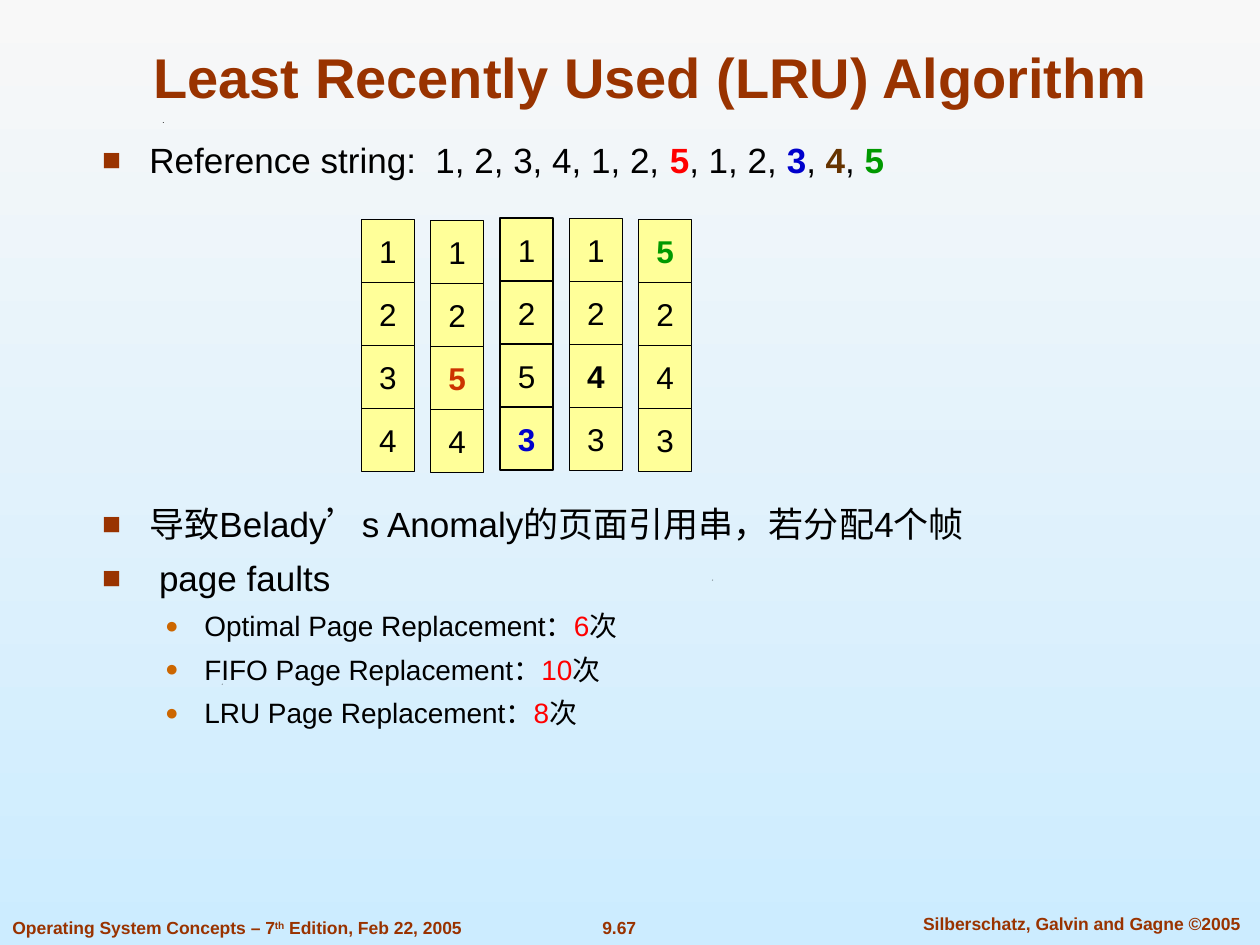
from lxml.etree import SubElement
from pptx import Presentation
from pptx.dml.color import RGBColor
from pptx.enum.shapes import MSO_SHAPE as Shape
from pptx.enum.text import MSO_ANCHOR as Anchor, MSO_AUTO_SIZE as Fit, PP_ALIGN as Align
from pptx.oxml.ns import qn
from pptx.util import Pt

RUST, BLACK, RED, BLUE, GREEN = "993300", "000000", "FF0000", "0000CC", "009900"

# Lines of the body: level, space before, runs of (text, colour, bold)
LINES = [
    (0, 0, [("Reference string:  1, 2, 3, 4, 1, 2, ", BLACK, False), ("5", RED, True),
            (", 1, 2, ", BLACK, False), ("3", BLUE, True), (", ", BLACK, False),
            ("4", "663300", True), (", ", BLACK, False), ("5", GREEN, True)]),
    (0, 184, [("导致Belady’s Anomaly的页面引用串，若分配4个帧", BLACK, False)]),
    (0, 7, [(" page faults", BLACK, False)]),
] + [
    (1, 5.6, [(name + " Page Replacement：", BLACK, False), (count, RED, False),
              ("次", BLACK, False)])
    for name, count in [("Optimal", "6"), ("FIFO", "10"), ("LRU", "8")]
]

# Bullet of each level: sign, colour, size in %, indent, hang, text size
LEVELS = [("■", RUST, 90, 27, 27, 20), ("●", "CC6600", 80, 58.5, 22.5, 16)]

# Frame columns: top offset, pages, marked row, its colour
FRAMES = [
    (0.7, "1234", None, BLACK),
    (1.4, "1254", 2, "CC3300"),
    (0, "1253", 3, BLUE),
    (0.4, "1243", 2, BLACK),
    (0.7, "5243", 0, GREEN),
]


def rgb(code):
    return RGBColor.from_string(code)


def style(run, size, color, bold=False):
    font = run.font
    font.name, font.size, font.bold = "Arial", Pt(size), bold
    font.color.rgb = rgb(color)


def place(shape, box):
    shape.left, shape.top, shape.width, shape.height = map(Pt, box)


def add_bullet(para, sign, color, size, indent, hang):
    props = para._p.get_or_add_pPr()
    props.set("marL", str(Pt(indent)))
    props.set("indent", str(-Pt(hang)))
    SubElement(SubElement(props, qn("a:buClr")), qn("a:srgbClr"), val=color)
    SubElement(props, qn("a:buSzPct"), val=str(size * 1000))
    SubElement(props, qn("a:buFont"), typeface="Arial")
    SubElement(props, qn("a:buChar"), char=sign)


def paint_back(slide):
    fill = slide.background.fill
    fill.gradient()
    fill.gradient_angle = 270
    for stop, color, pos in zip(fill.gradient_stops, ("F8F8F8", "CCECFF"), (0, 1)):
        stop.color.rgb = rgb(color)
        stop.position = pos


def add_specks(slide, spots):
    for left, top in spots:
        pen = slide.shapes.build_freeform(Pt(left), Pt(top + 0.5))
        pen.add_line_segments([(Pt(left + 0.5), Pt(top)), (Pt(left + 0.7), Pt(top + 0.3))])
        speck = pen.convert_to_shape()
        speck.shadow.inherit = False
        speck.fill.solid()
        speck.fill.fore_color.rgb = rgb(BLACK)
        speck.line.fill.background()


def add_title(slide, box):
    title = slide.shapes.title
    place(title, box)
    frame = title.text_frame
    frame.text = "Least Recently Used (LRU) Algorithm"
    frame.auto_size = Fit.NONE
    frame.vertical_anchor = Anchor.BOTTOM
    para = frame.paragraphs[0]
    para.alignment = Align.CENTER
    style(para.runs[0], 32, RUST, True)


def add_body(slide, box):
    body = slide.placeholders[1]
    place(body, box)
    frame = body.text_frame
    frame.auto_size = Fit.NONE
    frame.vertical_anchor = Anchor.TOP
    for i, (level, space, runs) in enumerate(LINES):
        para = frame.add_paragraph() if i else frame.paragraphs[0]
        *bullet, size = LEVELS[level]
        para.level = level
        add_bullet(para, *bullet)
        para.space_before = Pt(space)
        for text, color, bold in runs:
            run = para.add_run()
            run.text = text
            style(run, size, color, bold)


def add_cell(slide, box, text, color, bold):
    cell = slide.shapes.add_shape(Shape.RECTANGLE, *map(Pt, box))
    cell.shadow.inherit = False
    cell.fill.solid()
    cell.fill.fore_color.rgb = rgb("FFFF99")
    cell.line.color.rgb = rgb(BLACK)
    cell.line.width = Pt(0.75)
    frame = cell.text_frame
    frame.text = text
    frame.word_wrap = False
    frame.vertical_anchor = Anchor.MIDDLE
    para = frame.paragraphs[0]
    para.alignment = Align.CENTER
    style(para.runs[0], 18, color, bold)


def add_frames(slide, left, top, pitch, wide, high):
    for col, (drop, pages, mark, color) in enumerate(FRAMES):
        for row, page in enumerate(pages):
            hit = row == mark
            box = (left + col * pitch, top + drop + row * high, wide, high)
            add_cell(slide, box, page, color if hit else BLACK, hit)


def add_note(slide, box, parts, align, wrap=False):
    note = slide.shapes.add_textbox(*map(Pt, box))
    frame = note.text_frame
    frame.word_wrap = wrap
    para = frame.paragraphs[0]
    para.alignment = align
    for text, raised in parts:
        run = para.add_run()
        run.text = text
        style(run, 10, RUST, True)
        if raised:
            run._r.get_or_add_rPr().set("baseline", "30000")


def add_footer(slide, top):
    add_note(slide, (0, top, 272, 19.4),
             [("Operating System Concepts – 7", False), ("th", True),
              (" Edition, Feb 22, 2005", False)], Align.LEFT)
    add_note(slide, (336.2, top, 35.3, 19.4), [("9.67", False)], Align.CENTER)
    add_note(slide, (511.2, top - 2.2, 213.8, 19.4),
             [("Silberschatz, Galvin and Gagne ©2005", False)], Align.CENTER, True)


def main():
    deck = Presentation()
    deck.slide_width, deck.slide_height = Pt(720), Pt(540)
    slide = deck.slides.add_slide(deck.slide_layouts[1])
    paint_back(slide)
    add_specks(slide, [(126.7, 390.7), (93.6, 331.2), (406.8, 331.2), (92.9, 69.8)])
    add_footer(slide, 520.6)
    add_title(slide, (54, 18, 635.8, 48.2))
    add_body(slide, (51.1, 75.6, 619.2, 392.4))
    add_frames(slide, 206.6, 124.6, 39.6, 30.2, 36)
    deck.save("out.pptx")


if __name__ == "__main__":
    main()
